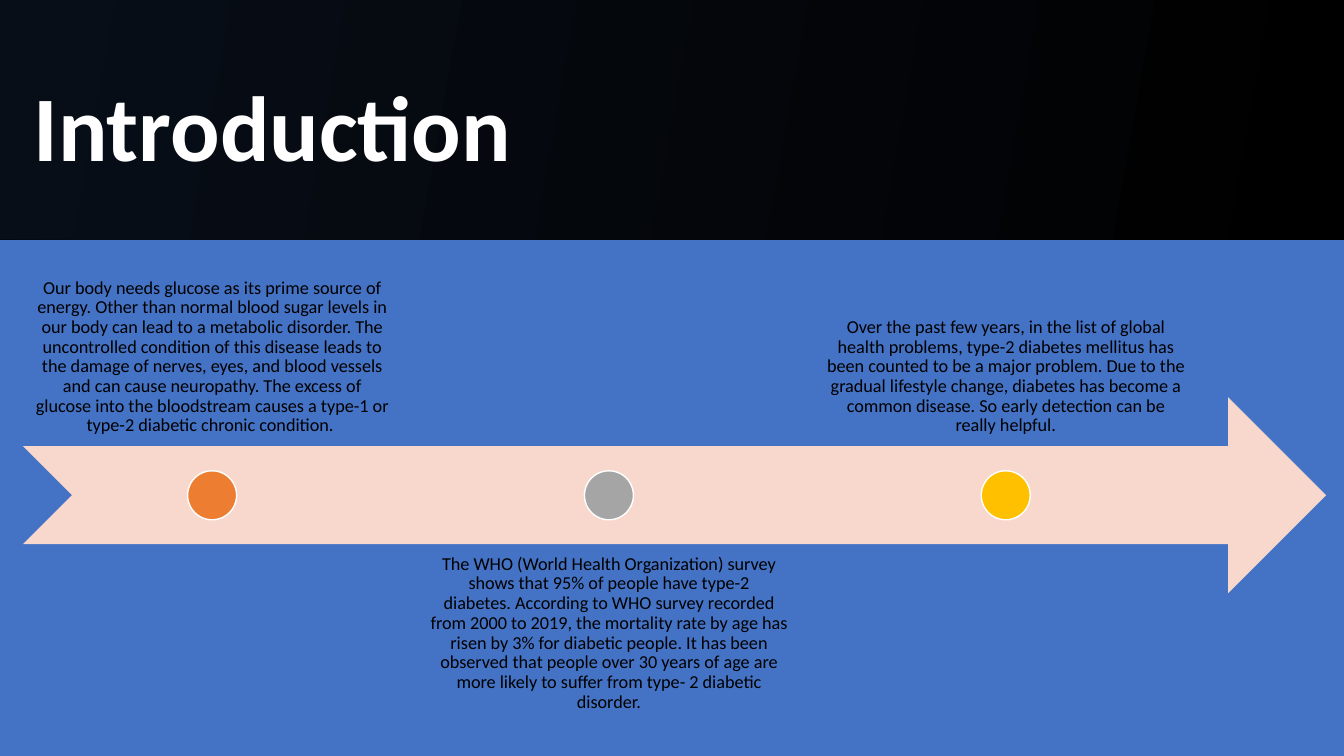
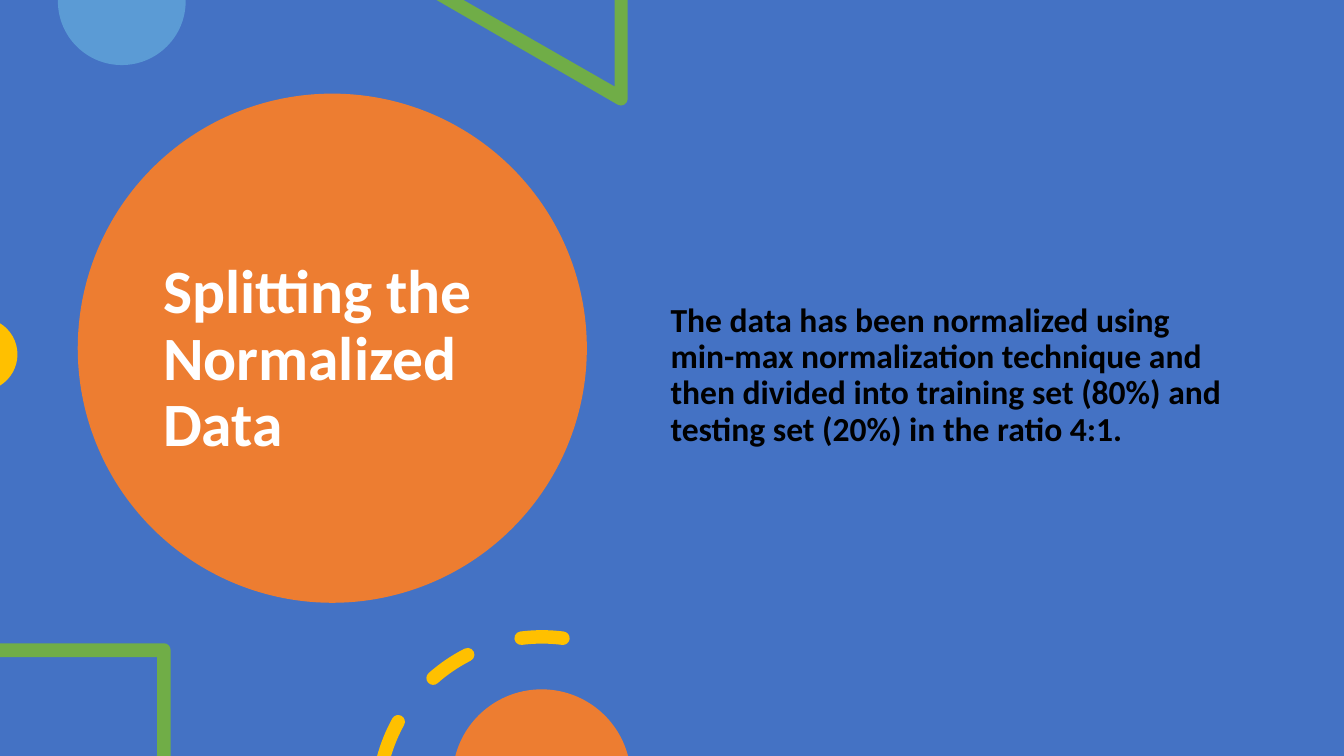
import math
from dataclasses import dataclass

import pptx
import pptx.dml.color
import pptx.enum.shapes
import pptx.enum.text
import pptx.oxml.ns
import pptx.util

Cm = pptx.util.Cm
Pt = pptx.util.Pt
qn = pptx.oxml.ns.qn
Shapes = pptx.enum.shapes.MSO_SHAPE
Align = pptx.enum.text.PP_ALIGN
Anchor = pptx.enum.text.MSO_ANCHOR
Point = tuple[float, float]
Curve = tuple[Point, Point, Point]
Contour = list[Point | Curve]
NBSP = chr(160)


@dataclass(frozen=True)
class Theme:
    font: str = "Calibri"
    blue: str = "4472C4"
    light_blue: str = "5B9BD5"
    orange: str = "ED7D31"
    grey: str = "A5A5A5"
    gold: str = "FFC000"
    green: str = "70AD47"
    peach: str = "F8D7CD"
    black: str = "000000"
    white: str = "FFFFFF"
    hero_pt: float = 66
    title_pt: float = 44
    body_pt: float = 24
    label_pt: float = 13
    line_spacing: float = 0.9


@dataclass(frozen=True)
class Box:
    """A rectangle in centimetres."""
    left: float
    top: float
    width: float
    height: float

    def emu(self) -> tuple:
        return Cm(self.left), Cm(self.top), Cm(self.width), Cm(self.height)


@dataclass(frozen=True)
class TextStyle:
    size: float
    color: str
    bold: bool = False
    align: Align = Align.LEFT
    anchor: Anchor = Anchor.TOP
    space_after: float = 0
    inset: float | None = None


@dataclass(frozen=True)
class BandLayer:
    box: Box
    colors: tuple[str, str]
    angle: float


@dataclass(frozen=True)
class Milestone:
    text: str
    color: str
    above: bool


THEME = Theme()
SLIDE = Box(0, 0, 33.87, 19.05)
HERO = TextStyle(THEME.hero_pt, THEME.white, bold=True, anchor=Anchor.MIDDLE)
TITLE = TextStyle(THEME.title_pt, THEME.white, bold=True, anchor=Anchor.MIDDLE)
BODY = TextStyle(THEME.body_pt, THEME.black, bold=True, space_after=6)
LABEL_ABOVE = TextStyle(THEME.label_pt, THEME.black, align=Align.CENTER,
                        anchor=Anchor.BOTTOM, space_after=5, inset=0.26)
LABEL_BELOW = TextStyle(THEME.label_pt, THEME.black, align=Align.CENTER,
                        space_after=5, inset=0.26)

BAND_LAYERS = (
    BandLayer(Box(0, 0, SLIDE.width, 6.03), ("000000", "2F5597"), 330),
    BandLayer(Box(22.45, 0, 11.38, 6.03), ("162644", "21375E"), 230),
    BandLayer(Box(0, 0, SLIDE.width, 6.03), ("080E18", "000000"), 350),
)

MILESTONES = (
    Milestone("Our body needs glucose as its prime source of energy. Other than normal "
              "blood sugar levels in our body can lead to a metabolic disorder. The "
              "uncontrolled condition of this disease leads to the damage of nerves, eyes, "
              "and blood vessels and can cause neuropathy. The excess of glucose into the "
              "bloodstream causes a type-1 or type-2 diabetic chronic condition." + NBSP,
              THEME.orange, above=True),
    Milestone("The WHO (World Health Organization) survey shows that 95% of people have "
              f"type-2 diabetes.{NBSP}According to WHO survey recorded from 2000 to 2019, the "
              "mortality rate by age has risen by 3% for diabetic people. It has been "
              "observed that people over 30 years of age are more likely to suffer from "
              "type- 2 diabetic disorder.",
              THEME.grey, above=False),
    Milestone("Over the past few years, in the list of global health problems, type-2 "
              f"diabetes mellitus has been counted to be a major problem.{NBSP}Due to the "
              "gradual lifestyle change, diabetes has become a common disease. So early "
              "detection can be really helpful.",
              THEME.gold, above=True),
)


# Shared drawing

def rgb(color: str) -> pptx.dml.color.RGBColor:
    return pptx.dml.color.RGBColor.from_string(color)


def paint(shape, color: str, outline: str | None = None) -> None:
    shape.shadow.inherit = False
    shape.fill.solid()
    shape.fill.fore_color.rgb = rgb(color)
    if outline:
        shape.line.color.rgb = rgb(outline)
        shape.line.width = Pt(1)
    else:
        shape.line.fill.background()


def add_preset(slide, kind: Shapes, box: Box, color: str, outline: str | None = None):
    shape = slide.shapes.add_shape(kind, *box.emu())
    paint(shape, color, outline)
    return shape


def add_text(slide, box: Box, text: str, style: TextStyle) -> None:
    frame = slide.shapes.add_textbox(*box.emu()).text_frame
    frame.word_wrap = True
    frame.vertical_anchor = style.anchor
    if style.inset is not None:
        frame.margin_left = frame.margin_right = Cm(style.inset)
        frame.margin_top = frame.margin_bottom = Cm(style.inset)
    paragraph = frame.paragraphs[0]
    paragraph.alignment = style.align
    paragraph.line_spacing = THEME.line_spacing
    paragraph.space_after = Pt(style.space_after)
    run = paragraph.add_run()
    run.text = text
    run.font.name = THEME.font
    run.font.size = Pt(style.size)
    run.font.bold = style.bold
    run.font.color.rgb = rgb(style.color)


def arc(center: Point, radius: float, start: float, end: float) -> Contour:
    """First point, then Bézier curves; degrees run clockwise from the right."""
    count = math.ceil(abs(end - start) / 90)
    sweep = math.radians(end - start) / count
    pull = 4 / 3 * math.tan(sweep / 4)

    def at(angle: float, tangent: float = 0) -> Point:
        return (center[0] + radius * (math.cos(angle) - tangent * math.sin(angle)),
                center[1] + radius * (math.sin(angle) + tangent * math.cos(angle)))

    angles = [math.radians(start) + sweep * i for i in range(count + 1)]
    return [at(angles[0])] + [(at(a, pull), at(b, -pull), at(b))
                              for a, b in zip(angles, angles[1:])]


def is_curve(segment: Point | Curve) -> bool:
    return isinstance(segment[0], tuple)


def add_outline(slide, contours: list[Contour], color: str) -> None:
    builder = None
    for first, *rest in contours:
        origin = Cm(first[0]), Cm(first[1])
        if builder is None:
            builder = slide.shapes.build_freeform(*origin, scale=1.0)
        else:
            builder.move_to(*origin)
        points = [p for s in rest for p in (s if is_curve(s) else (s,))]
        builder.add_line_segments([(Cm(x), Cm(y)) for x, y in points], close=True)
    shape = builder.convert_to_shape()
    paint(shape, color)

    # Join each three points of a curve into one Bézier element
    lines = iter(list(shape._element.iter(qn("a:lnTo"))))
    for segment in (s for contour in contours for s in contour[1:]):
        line = next(lines)
        if is_curve(segment):
            curve = line.makeelement(qn("a:cubicBezTo"))
            line.addprevious(curve)
            for part in (line, next(lines), next(lines)):
                curve.append(part[0])
                part.getparent().remove(part)


def new_slide(deck):
    slide = deck.slides.add_slide(deck.slide_layouts[6])
    add_preset(slide, Shapes.RECTANGLE, SLIDE, THEME.blue)
    return slide


# Slide 1: timeline

def build_introduction(deck) -> None:
    slide = new_slide(deck)

    # Title band
    for layer in BAND_LAYERS:
        band = add_preset(slide, Shapes.RECTANGLE, layer.box, THEME.black)
        band.fill.gradient()
        band.fill.gradient_angle = layer.angle
        for stop, color in zip(band.fill.gradient_stops, layer.colors):
            stop.color.rgb = rgb(color)
    add_text(slide, Box(0.6, 1.12, 27, 4.37), "Introduction", HERO)

    # Arrow with milestones
    arrow = Box(0.58, 10.01, 32.84, 4.94)
    add_preset(slide, Shapes.NOTCHED_RIGHT_ARROW, arrow, THEME.peach)
    shaft_top = arrow.top + arrow.height / 4
    shaft_bottom = arrow.top + arrow.height * 3 / 4
    label_width, pitch, dot = 9.53, 10, arrow.height / 4
    for index, milestone in enumerate(MILESTONES):
        left = arrow.left + pitch * index
        top = shaft_top - arrow.height if milestone.above else shaft_bottom
        add_text(slide, Box(left, top, label_width, arrow.height), milestone.text,
                 LABEL_ABOVE if milestone.above else LABEL_BELOW)
        add_preset(slide, Shapes.OVAL,
                   Box(left + (label_width - dot) / 2,
                       arrow.top + (arrow.height - dot) / 2, dot, dot),
                   milestone.color, THEME.white)


# Slide 2: statement among loose shapes

def ring_dash(center: Point, radius: float, start: float, end: float) -> Contour:
    """Round-ended dash, cut straight where it meets the lower slide edge."""
    half = 0.17
    outer, inner = radius + half, radius - half
    drop = center[1] - SLIDE.height
    cut_outer, cut_inner = (180 + math.degrees(math.asin(drop / r)) for r in (outer, inner))
    head = arc(center, radius, end, end + 1)[0]
    dash = (arc(center, outer, max(start, cut_outer), end)
            + arc(head, half, end, end + 180)[1:]
            + arc(center, inner, end, max(start, cut_inner))[1:])
    if start > cut_inner:
        tail = arc(center, radius, start, start + 1)[0]
        dash += arc(tail, half, start + 180, start + 360)[1:]
    return dash


def build_splitting(deck) -> None:
    slide = new_slide(deck)

    # Title disc and statement
    add_preset(slide, Shapes.OVAL, Box(1.96, 2.36, 12.83, 12.83), THEME.orange)
    add_text(slide, Box(3.86, 3.43, 9, 11.3), "Splitting the Normalized Data", TITLE)

    # Shapes cut by the upper and left edges
    corner = 0.17
    add_outline(slide, [arc((3.07, 0.03), 1.61, 0, 180) + [(1.46, 0), (4.68, 0)]],
                THEME.light_blue)
    triangle = [(15.49, 0), (15.49, 2.18), (11.68, 0), (11, 0)]
    add_outline(slide, [triangle + arc((15.65, 2.49), corner, 120, 0) + [(15.82, 0)]],
                THEME.green)
    add_outline(slide, [arc((-0.48, 8.93), 0.92, -58.5, 58.5)], THEME.gold)

    add_text(slide, Box(16.65, 7.52, 14.6, 3.7),
             "The data has been normalized using min-max normalization technique and then "
             "divided into training set (80%) and testing set (20%) in the ratio 4:1." + NBSP,
             BODY)

    # Square, dashed ring and disc cut by the lower edge
    square = [(4.3, 19.05), (3.96, 19.05), (3.96, 16.56), (0, 16.56), (0, 16.21)]
    add_outline(slide, [square + arc((4.13, 16.38), corner, -90, 0)], THEME.green)
    sweep, step, first = 14.6, 34.2, 262.7
    starts = [first - step * index for index in range(3)]
    add_outline(slide, [ring_dash((13.66, 20.19), 4.14, start, start + sweep)
                        for start in starts], THEME.gold)
    add_outline(slide, [arc((13.65, 19.62), 2.25, 194.7, 345.3)], THEME.orange)


def main() -> None:
    deck = pptx.Presentation()
    deck.slide_width, deck.slide_height = Cm(SLIDE.width), Cm(SLIDE.height)
    build_introduction(deck)
    build_splitting(deck)
    deck.save("out.pptx")


if __name__ == "__main__":
    main()
